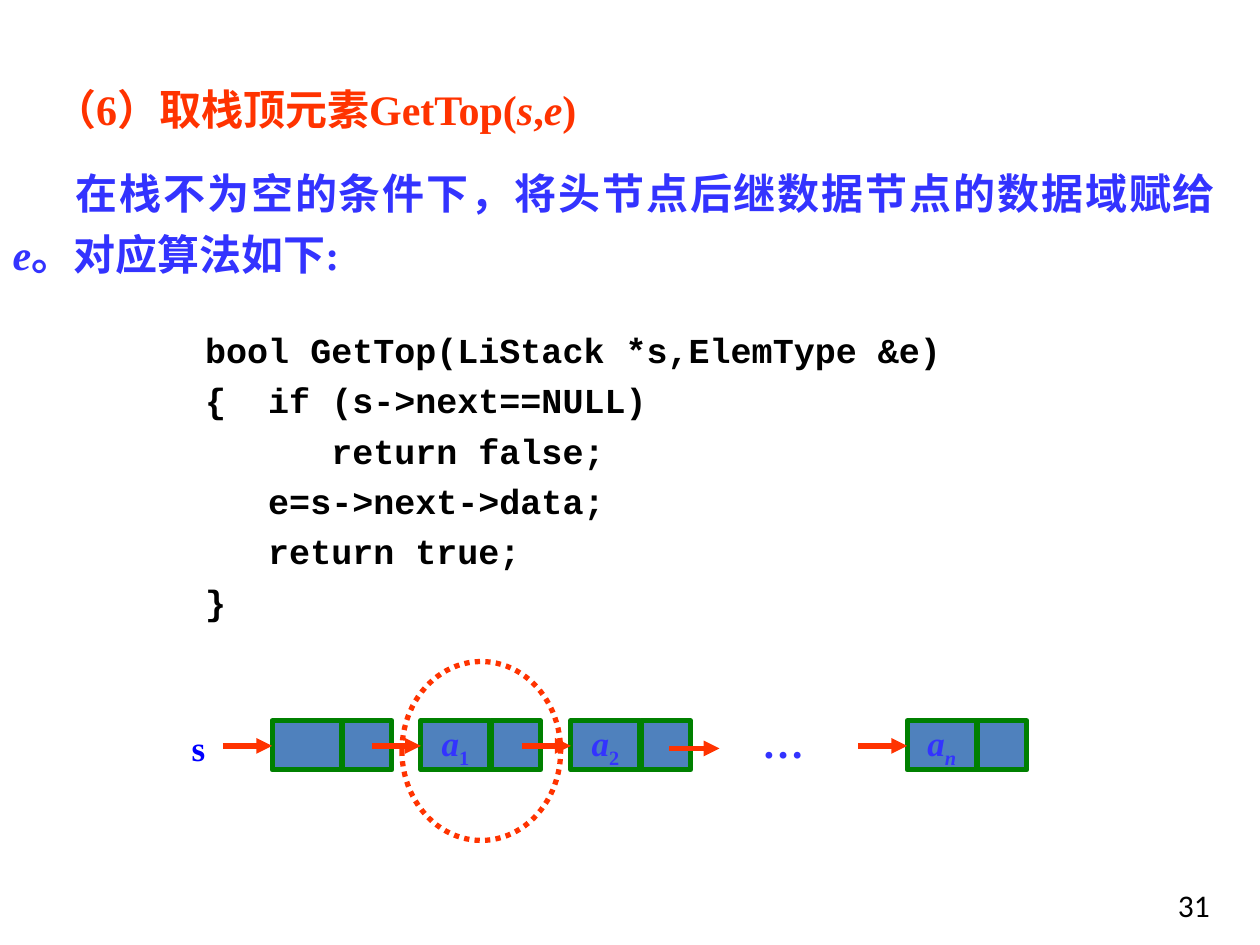
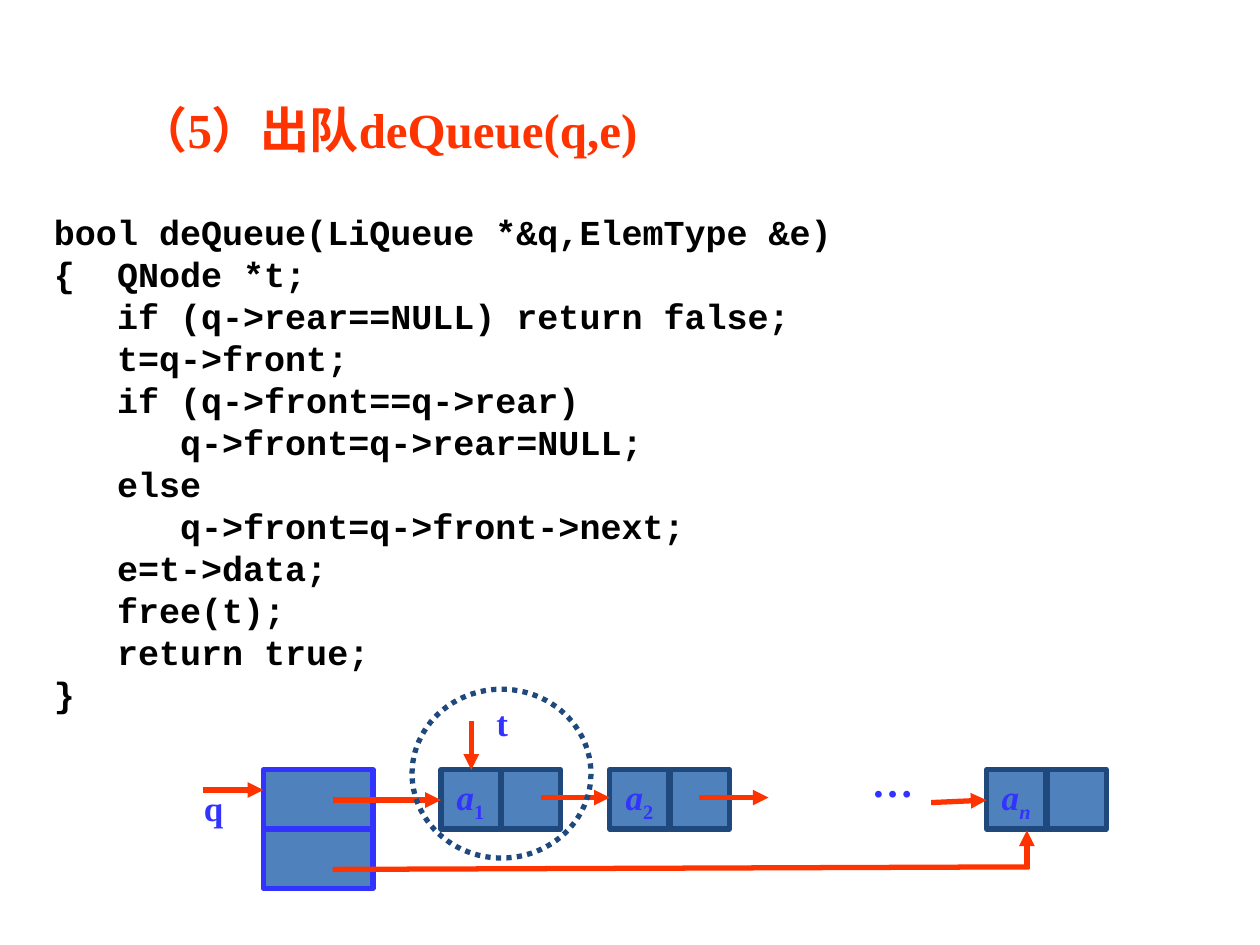
"""Build two slides on linked stacks and queues: code above a node diagram."""
from dataclasses import dataclass

from lxml.etree import SubElement
from pptx import Presentation
from pptx.dml.color import RGBColor
from pptx.enum.dml import MSO_LINE
from pptx.enum.shapes import MSO_CONNECTOR, MSO_SHAPE
from pptx.enum.text import MSO_ANCHOR, MSO_AUTO_SIZE, PP_ALIGN
from pptx.oxml.ns import qn
from pptx.util import Inches, Pt


@dataclass(frozen=True)
class Theme:
    red: RGBColor = RGBColor(0xFF, 0x33, 0x00)
    blue: RGBColor = RGBColor(0x33, 0x33, 0xFF)
    pure_blue: RGBColor = RGBColor(0x00, 0x00, 0xFF)
    navy: RGBColor = RGBColor(0x1F, 0x49, 0x7D)
    green: RGBColor = RGBColor(0x00, 0x80, 0x00)
    steel: RGBColor = RGBColor(0x4F, 0x81, 0xBD)
    black: RGBColor = RGBColor(0x00, 0x00, 0x00)
    serif: str = "Times New Roman"
    mono: str = "Courier New"
    sans: str = "Calibri"
    large: int = 28
    medium: int = 24
    normal: int = 20
    small: int = 18
    stroke: int = 3


theme = Theme()


def write(frame, paragraphs, size=theme.normal, color=theme.blue, font=theme.serif,
          bold=True, align=PP_ALIGN.LEFT, spacing=1.0, indent=0,
          anchor=MSO_ANCHOR.TOP, wrap=True):
    """Fill a frame; a paragraph is a string or a list of (text, italic, subscript)."""
    frame.auto_size = MSO_AUTO_SIZE.NONE
    frame.word_wrap = wrap
    frame.vertical_anchor = anchor
    for number, spans in enumerate(paragraphs):
        para = frame.add_paragraph() if number else frame.paragraphs[0]
        properties = para._p.get_or_add_pPr()
        properties.set("marL", "0")
        properties.set("indent", str(Inches(indent)))
        SubElement(properties, qn("a:buNone"))
        para.alignment = align
        para.line_spacing = spacing
        para.space_before = Pt(0)
        for text, italic, subscript in [(spans, False, False)] if isinstance(spans, str) else spans:
            span = para.add_run()
            span.text = text
            span.font.size = Pt(size)
            span.font.name = font
            span.font.bold = bold
            span.font.italic = italic
            span.font.color.rgb = color
            if subscript:
                span.font._element.set("baseline", "-25000")


def draw_line(page, points, arrow=True):
    """Draw a red line between two points, with an arrowhead at its end."""
    line = page.shapes.add_connector(MSO_CONNECTOR.STRAIGHT, *[Inches(value) for value in points])
    line.line.color.rgb = theme.red
    line.line.width = Pt(theme.stroke)
    if arrow:
        SubElement(line.line._get_or_add_ln(), qn("a:tailEnd"), type="triangle")
    SubElement(line._element.spPr, qn("a:effectLst"))


STACK_CELL, STACK_TOP, STACK_MIDDLE = 0.39, 5.72, 5.92
QUEUE_CELL, QUEUE_TOP, QUEUE_LINK = 0.47, 6.11, 6.33
HEAD_LEFT, HEAD_WIDTH = 2.09, 0.87

stack_nodes = [(2.16, ""), (3.34, "1"), (4.53, "2"), (7.2, "n")]
queue_nodes = [(3.5, "1"), (4.84, "2"), (7.83, "n")]

scenes = [
    dict(
        layout=1,
        title=[("（6）取栈顶元素GetTop(", False, False), ("s", True, False), (",", False, False),
               ("e", True, False), (")", False, False)],
        title_at=(0, 0.61, 9.75, 0.5), title_size=theme.medium, title_indent=0.33,
        body=[("在栈不为空的条件下，将头节点后继数据节点的数据域赋给", False, False),
              ("e", True, False), ("。对应算法如下:", False, False)],
        code="""bool GetTop(LiStack *s,ElemType &e)
{  if (s->next==NULL)
      return false;
   e=s->next->data;
   return true;
}""",
        code_at=(1.53, 2.49, 6.85, 2.5), code_spacing=1.2,
        nodes=stack_nodes, top=STACK_TOP, data_width=0.55, cell=STACK_CELL, outline=theme.green,
        heads=[],
        arrows=[(left - STACK_CELL, STACK_MIDDLE, left, STACK_MIDDLE) for left, _ in stack_nodes]
        + [(5.31, 5.94, 5.71, 5.94)],
        lines=[],
        oval_at=(3.19, 5.25, 1.26, 1.42), oval_color=theme.red,
        labels=[("s", (1.38, 5.72, 0.39, 0.43), theme.normal, theme.pure_blue),
                ("…", (5.94, 5.64, 0.55, 0.5), theme.medium, theme.blue)],
        number="31",
    ),
    dict(
        layout=5,
        title="（5）出队deQueue(q,e)",
        title_at=(0.51, 0.72, 8.75, 0.6), title_size=theme.large, title_indent=0.49,
        body=None,
        code="""bool deQueue(LiQueue *&q,ElemType &e)
{  QNode *t;
   if (q->rear==NULL) return false;
   t=q->front;
   if (q->front==q->rear)
      q->front=q->rear=NULL;
   else
      q->front=q->front->next;
   e=t->data;
   free(t);
   return true;
}""",
        code_at=(0.33, 1.62, 8.75, 4.1), code_spacing=1.0,
        nodes=queue_nodes, top=QUEUE_TOP, data_width=QUEUE_CELL, cell=QUEUE_CELL, outline=theme.navy,
        heads=[(HEAD_LEFT, QUEUE_TOP + row * QUEUE_CELL, HEAD_WIDTH, QUEUE_CELL) for row in range(2)],
        arrows=[(1.61, 6.27, HEAD_LEFT, 6.27), (2.64, 6.35, 3.5, 6.35),
                (4.29, QUEUE_LINK, 4.84, QUEUE_LINK), (5.55, QUEUE_LINK, 6.1, QUEUE_LINK),
                (7.39, 6.37, 7.83, 6.35), (8.15, 6.9, 8.15, 6.59), (3.74, 5.72, 3.74, QUEUE_TOP)],
        lines=[(2.64, 6.9, 8.17, 6.88)],
        oval_at=(3.27, 5.47, 1.42, 1.34), oval_color=theme.navy,
        labels=[("q", (1.46, 6.19, 0.47, 0.43), theme.normal, theme.blue),
                ("…", (6.65, 5.95, 0.87, 0.5), theme.medium, theme.blue),
                ("t", (3.79, 5.52, 0.39, 0.43), theme.normal, theme.blue)],
        number=None,
    ),
]

deck = Presentation()
deck.slide_width, deck.slide_height = Inches(10), Inches(7.5)

for scene in scenes:
    page = deck.slides.add_slide(deck.slide_layouts[scene["layout"]])

    title = page.shapes.title
    title.left, title.top, title.width, title.height = [Inches(value) for value in scene["title_at"]]
    write(title.text_frame, [scene["title"]], size=scene["title_size"], color=theme.red,
          indent=scene["title_indent"], anchor=MSO_ANCHOR.MIDDLE)

    if scene["body"]:
        body = page.placeholders[1]
        body.left, body.top, body.width, body.height = [Inches(value) for value in (0, 1.16, 9.75, 1.1)]
        write(body.text_frame, [scene["body"]], size=theme.medium, align=PP_ALIGN.JUSTIFY,
              spacing=1.2, indent=0.5, anchor=MSO_ANCHOR.BOTTOM)

    code = page.shapes.add_textbox(*[Inches(value) for value in scene["code_at"]])
    write(code.text_frame, scene["code"].split("\n"), color=theme.black, font=theme.mono,
          spacing=scene["code_spacing"])

    top, cell, data_width = scene["top"], scene["cell"], scene["data_width"]
    boxes = [(head, theme.blue, "") for head in scene["heads"]]
    for left, subscript in scene["nodes"]:
        boxes.append(((left, top, data_width, cell), scene["outline"], subscript))
        boxes.append(((left + data_width + 0.01, top, cell, cell), scene["outline"], ""))
    for place, outline, subscript in boxes:
        box = page.shapes.add_shape(MSO_SHAPE.RECTANGLE, *[Inches(value) for value in place])
        box.shadow.inherit = False
        box.fill.solid()
        box.fill.fore_color.rgb = theme.steel
        box.line.color.rgb = outline
        box.line.width = Pt(theme.stroke)
        if subscript:
            write(box.text_frame, [[("a", True, False), (subscript, subscript == "n", True)]],
                  align=PP_ALIGN.CENTER, anchor=MSO_ANCHOR.MIDDLE, wrap=False)

    for points in scene["lines"]:
        draw_line(page, points, arrow=False)
    for points in scene["arrows"]:
        draw_line(page, points)

    oval = page.shapes.add_shape(MSO_SHAPE.OVAL, *[Inches(value) for value in scene["oval_at"]])
    oval.shadow.inherit = False
    oval.fill.background()
    oval.line.color.rgb = scene["oval_color"]
    oval.line.width = Pt(theme.stroke)
    oval.line.dash_style = MSO_LINE.ROUND_DOT

    for text, place, size, color in scene["labels"]:
        label = page.shapes.add_textbox(*[Inches(value) for value in place])
        write(label.text_frame, [text], size=size, color=color, align=PP_ALIGN.CENTER)

    if scene["number"]:
        number = page.shapes.add_textbox(*[Inches(value) for value in (9.25, 6.98, 0.75, 0.52)])
        write(number.text_frame, [scene["number"]], size=theme.small, color=theme.black,
              font=theme.sans, bold=False)

deck.save("out.pptx")
